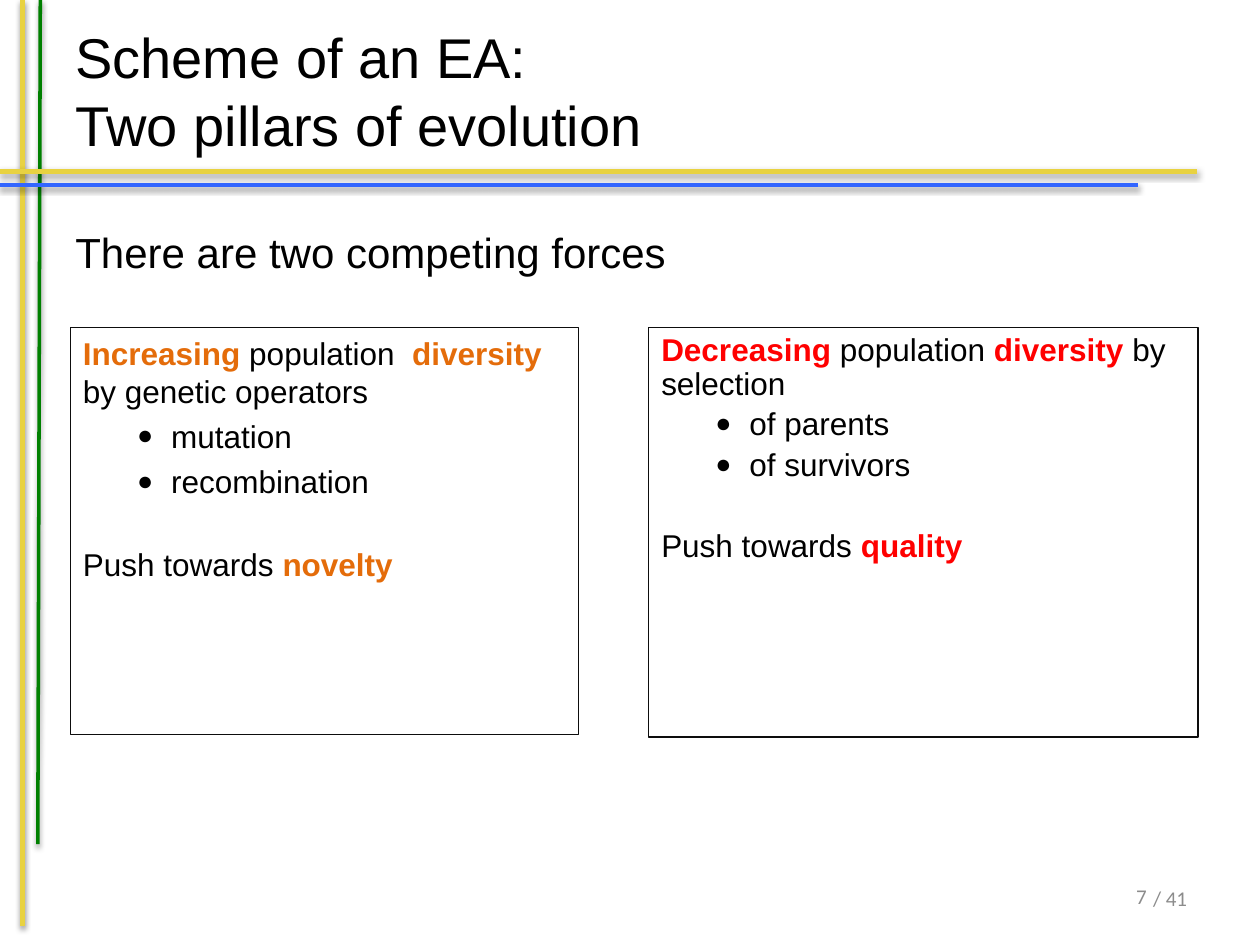
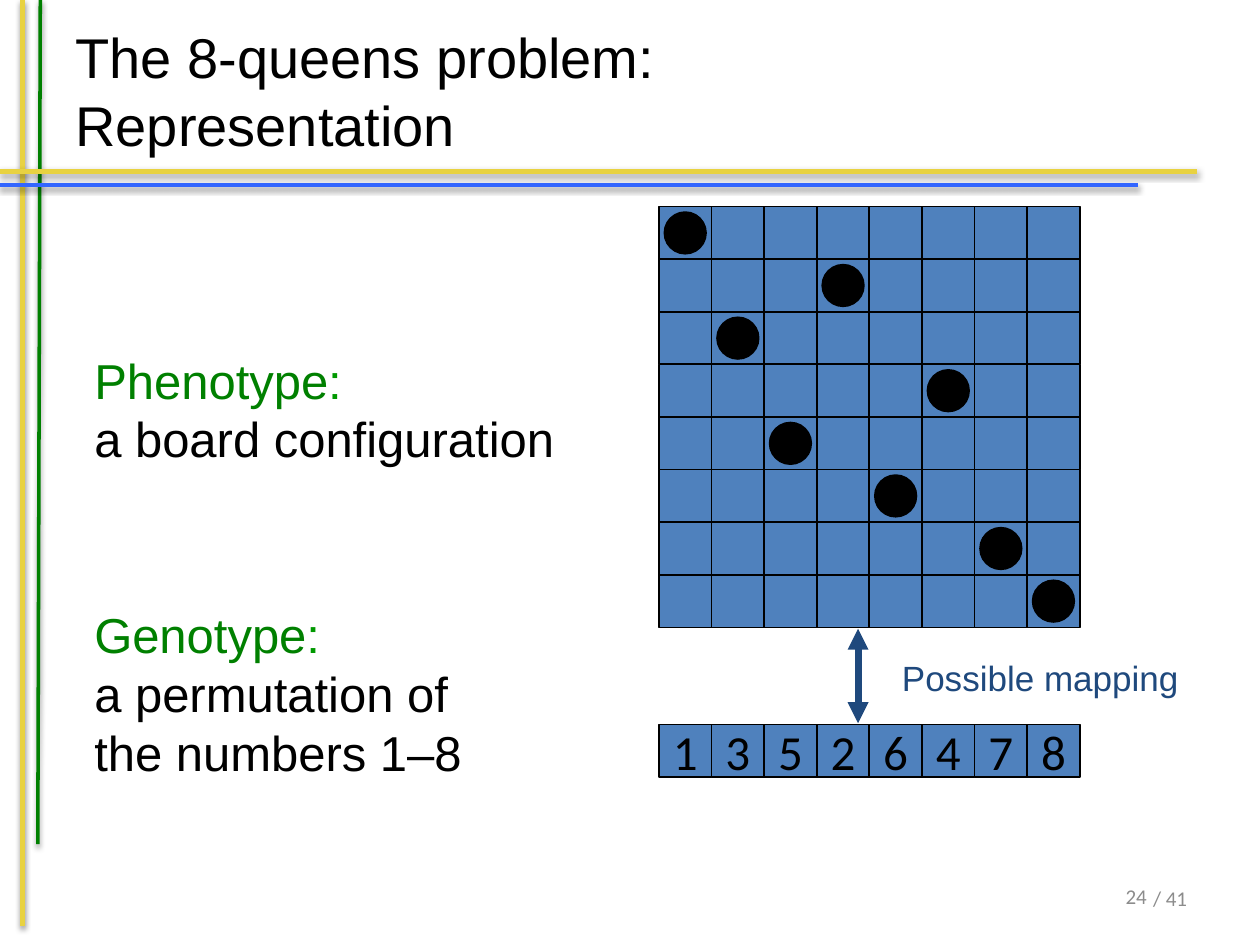
from lxml import etree
from pptx import Presentation
from pptx.dml.color import RGBColor
from pptx.enum.shapes import MSO_CONNECTOR, MSO_SHAPE
from pptx.enum.text import MSO_ANCHOR, PP_ALIGN
from pptx.oxml.ns import qn
from pptx.util import Inches, Pt

STRAIGHT = MSO_CONNECTOR.STRAIGHT
RECTANGLE, OVAL = MSO_SHAPE.RECTANGLE, MSO_SHAPE.OVAL
TOP, MIDDLE = MSO_ANCHOR.TOP, MSO_ANCHOR.MIDDLE
LEFT, CENTER, RIGHT = PP_ALIGN.LEFT, PP_ALIGN.CENTER, PP_ALIGN.RIGHT

BLACK = RGBColor(0x00, 0x00, 0x00)
NEAR_BLACK = RGBColor(0x0D, 0x0D, 0x0D)
GRAY = RGBColor(0x8C, 0x8C, 0x8C)
YELLOW = RGBColor(0xE8, 0xD2, 0x41)
GREEN = RGBColor(0x00, 0x80, 0x00)
COLON_GREEN = RGBColor(0x00, 0x99, 0x00)
BLUE = RGBColor(0x33, 0x66, 0xFF)
ORANGE = RGBColor(0xE4, 0x6C, 0x0A)
RED = RGBColor(0xFF, 0x00, 0x00)
BOARD_BLUE = RGBColor(0x4F, 0x81, 0xBD)
NAVY = RGBColor(0x1F, 0x49, 0x7D)

PAGE_COUNT = 41

# start, end, colour, width in points
BANDS = [
    ((0.18, 0), (0.18, 7.35), YELLOW, 3),
    ((0.32, 0), (0.3, 6.7), GREEN, 2),
    ((0, 1.36), (9.5, 1.36), YELLOW, 3),
    ((0, 1.47), (9.03, 1.47), BLUE, 2),
]

FORCES_TITLE = ["Scheme of an EA:", "Two pillars of evolution"]
FORCES_INTRO = "There are two competing forces"
# In each run list, True marks the emphasised words
FORCES = [
    dict(box=(0.56, 2.6, 4.03, 3.23), accent=ORANGE, line_spacing=1.0,
         space=4.2, push_space=26,
         heading=[("Increasing ", True), ("population  ", False),
                  ("diversity ", True), ("by genetic operators", False)],
         means=["mutation", "recombination"],
         push=[("Push towards ", False), ("novelty", True)]),
    dict(box=(5.15, 2.6, 4.36, 3.25), accent=RED, line_spacing=0.9,
         space=3.7, push_space=27,
         heading=[("Decreasing ", True), ("population ", False),
                  ("diversity ", True), ("by selection", False)],
         means=["of parents", "of survivors"],
         push=[("Push towards ", False), ("quality", True)]),
]

QUEENS_TITLE = ["The 8-queens problem:", "Representation"]
QUEEN_ROWS = [1, 3, 5, 2, 6, 4, 7, 8]
DEFINITIONS = [
    ((0.65, 2.73, 3.97, 1.03), "Phenotype", ["a board configuration"]),
    ((0.65, 4.75, 3.26, 1.51), "Genotype", ["a permutation of", "the numbers 1–8"]),
]
BOARD_LEFT, BOARD_TOP, BOARD_SIZE = 5.23, 1.64, 3.34
GENOTYPE_TOP = 5.75
CELL = BOARD_SIZE / len(QUEEN_ROWS)
QUEEN = 0.33


def add_paragraph(shape, text, size=18, font="Arial", color=BLACK, align=LEFT,
                  space_before=0, line_spacing=1.0, bullet=False):
    """Append a paragraph; text is a string or a list of (text, colour, bold)."""
    frame = shape.text_frame
    paragraph = frame.paragraphs[0]
    if paragraph.runs:
        paragraph = frame.add_paragraph()
    paragraph.alignment = align
    paragraph.space_before = Pt(space_before)
    paragraph.line_spacing = line_spacing
    runs = [(text, color, False)] if isinstance(text, str) else text
    for words, run_color, bold in runs:
        run = paragraph.add_run()
        run.text = words
        run.font.name = font
        run.font.size = Pt(size)
        run.font.bold = bold
        run.font.color.rgb = run_color
    if bullet:
        properties = paragraph._p.get_or_add_pPr()
        properties.set("marL", str(Inches(0.7)))
        properties.set("indent", str(Inches(-0.27)))
        etree.SubElement(properties, qn("a:buSzPct")).set("val", "85000")
        etree.SubElement(properties, qn("a:buFont")).set("typeface", "Arial")
        etree.SubElement(properties, qn("a:buChar")).set("char", "●")


def add_text_box(slide, box, lines, anchor=TOP, **text_format):
    text_box = slide.shapes.add_textbox(*map(Inches, box))
    text_box.text_frame.word_wrap = True
    text_box.text_frame.vertical_anchor = anchor
    for line in lines:
        add_paragraph(text_box, line, **text_format)


def add_figure(slide, kind, box, fill=None, line=BLACK, line_width=1, anchor=TOP):
    shape = slide.shapes.add_shape(kind, *map(Inches, box))
    shape.shadow.inherit = False
    if fill is None:
        shape.fill.background()
    else:
        shape.fill.solid()
        shape.fill.fore_color.rgb = fill
    shape.line.color.rgb = line
    shape.line.width = Pt(line_width)
    shape.text_frame.vertical_anchor = anchor
    return shape


def add_line(slide, start, end, color, width, shadow=False, arrows=False):
    connector = slide.shapes.add_connector(STRAIGHT, *map(Inches, start + end))
    connector.line.color.rgb = color
    connector.line.width = Pt(width)
    if arrows:
        outline = connector.line._get_or_add_ln()
        for tip in ("a:headEnd", "a:tailEnd"):
            etree.SubElement(outline, qn(tip)).set("type", "triangle")
    effects = etree.SubElement(connector._element.spPr, qn("a:effectLst"))
    if shadow:
        outer = etree.SubElement(effects, qn("a:outerShdw"), blurRad="40000",
                                 dist="20000", dir="5400000", rotWithShape="0")
        shade = etree.SubElement(outer, qn("a:srgbClr"), val=str(BLACK))
        etree.SubElement(shade, qn("a:alpha"), val="38000")


def add_base_slide(presentation, title, page):
    """Add a slide with the coloured bands, the title and the page number."""
    slide = presentation.slides.add_slide(presentation.slide_layouts[6])
    for band in BANDS:
        add_line(slide, *band, shadow=True)
    add_text_box(slide, (0.5, 0.09, 9, 1.25), title, anchor=MIDDLE, size=32)
    for left, top, text in [(8.93, 6.85, f"/ {PAGE_COUNT}"), (8.61, 6.84, str(page))]:
        add_text_box(slide, (left, top, 0.59, 0.55), [text], anchor=MIDDLE,
                     size=12, font="Calibri", color=GRAY, align=RIGHT)
    return slide


def build_forces_slide(presentation):
    slide = add_base_slide(presentation, FORCES_TITLE, 7)
    add_text_box(slide, (0.5, 1.75, 9, 0.65), [FORCES_INTRO], size=24, space_before=5.5)
    for force in FORCES:
        def colored(runs):
            return [(words, force["accent"] if strong else BLACK, strong)
                    for words, strong in runs]

        box = add_figure(slide, RECTANGLE, force["box"], line=NEAR_BLACK, line_width=0.75)
        spacing = dict(line_spacing=force["line_spacing"], space_before=force["space"])
        add_paragraph(box, colored(force["heading"]), **spacing)
        for means in force["means"]:
            add_paragraph(box, means, bullet=True, **spacing)
        spacing["space_before"] = force["push_space"]
        add_paragraph(box, colored(force["push"]), **spacing)


def add_cell(slide, column, top):
    left = BOARD_LEFT + column * CELL
    return add_figure(slide, RECTANGLE, (left, top, CELL, CELL),
                      fill=BOARD_BLUE, anchor=MIDDLE)


def build_queens_slide(presentation):
    slide = add_base_slide(presentation, QUEENS_TITLE, 24)
    for box, term, meaning in DEFINITIONS:
        heading = [(term, GREEN, False), (":", COLON_GREEN, False)]
        add_text_box(slide, box, [heading] + meaning, size=28)

    for row in range(len(QUEEN_ROWS)):
        for column in range(len(QUEEN_ROWS)):
            add_cell(slide, column, BOARD_TOP + row * CELL)

    margin = (CELL - QUEEN) / 2
    for column, row in enumerate(QUEEN_ROWS):
        queen_box = (BOARD_LEFT + column * CELL + margin,
                     BOARD_TOP + (row - 1) * CELL + margin, QUEEN, QUEEN)
        add_figure(slide, OVAL, queen_box, fill=BLACK)
        gene = add_cell(slide, column, GENOTYPE_TOP)
        frame = gene.text_frame
        frame.margin_left = frame.margin_right = 0
        frame.margin_top = frame.margin_bottom = 0
        add_paragraph(gene, str(row), size=28, font="Calibri", align=CENTER)

    add_line(slide, (6.81, 4.99), (6.81, 5.74), NAVY, 4, arrows=True)
    add_text_box(slide, (7.06, 5.16, 2.5, 0.44), ["Possible mapping"],
                 size=20, color=NAVY)


def main():
    presentation = Presentation()
    presentation.slide_width = Inches(10)
    presentation.slide_height = Inches(7.5)
    build_forces_slide(presentation)
    build_queens_slide(presentation)
    presentation.save("out.pptx")


if __name__ == "__main__":
    main()
